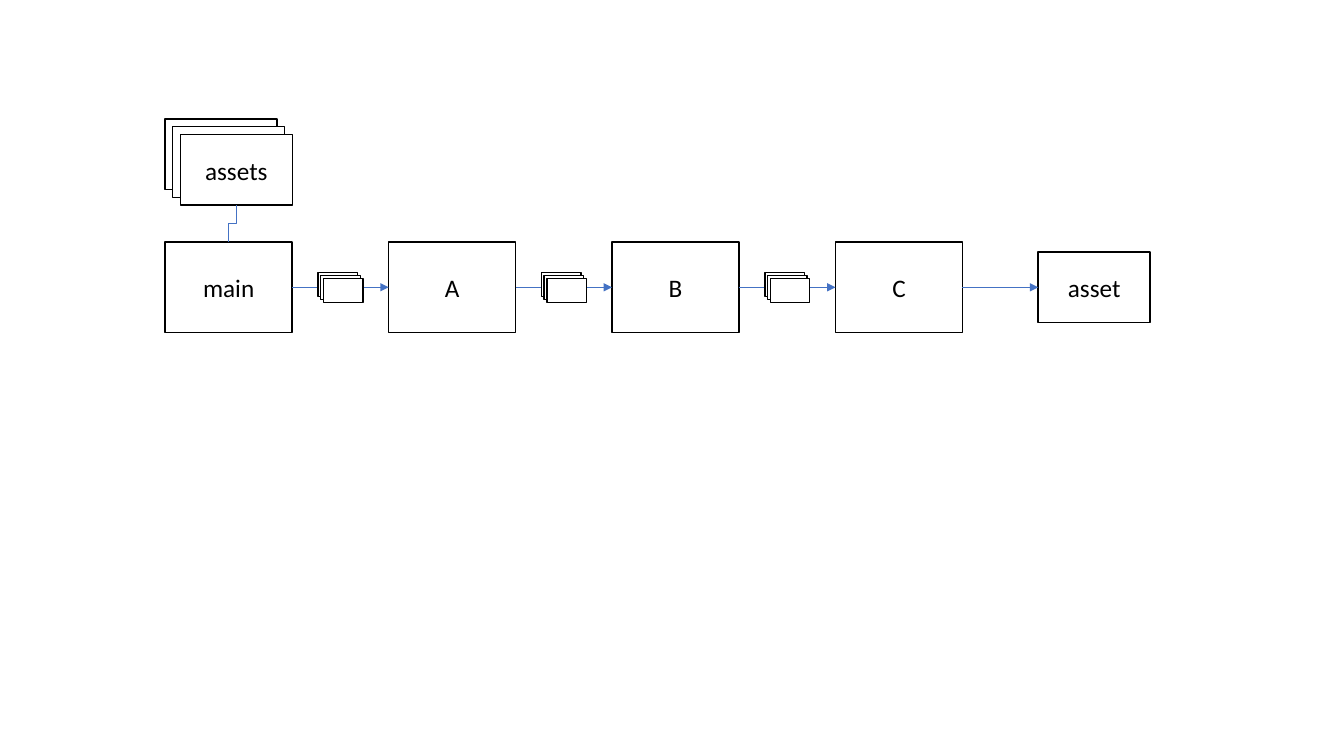
from dataclasses import dataclass

from pptx import Presentation
from pptx.dml.color import RGBColor
from pptx.enum.shapes import MSO_CONNECTOR, MSO_SHAPE
from pptx.enum.text import MSO_ANCHOR, PP_ALIGN
from pptx.oxml.ns import qn
from pptx.util import Pt
from lxml.etree import SubElement


@dataclass(frozen=True)
class Theme:
    paper: RGBColor = RGBColor(0xFF, 0xFF, 0xFF)
    ink: RGBColor = RGBColor(0, 0, 0)
    link: RGBColor = RGBColor(0x44, 0x72, 0xC4)
    font: str = "Calibri"
    text_size: int = 18
    outline: float = 1
    link_width: float = 0.5


THEME = Theme()
TOP, RIGHT, BOTTOM, LEFT = 0, 3, 2, 1  # connection sites of a rectangle


@dataclass(frozen=True)
class Box:
    left: float
    top: float
    width: float
    height: float

    def moved(self, across, down=0):
        return Box(self.left + across, self.top + down, self.width, self.height)

    def lengths(self):
        return [Pt(n) for n in (self.left, self.top, self.width, self.height)]


def add_rectangle(shapes, box, label=""):
    rectangle = shapes.add_shape(MSO_SHAPE.RECTANGLE, *box.lengths())
    rectangle.shadow.inherit = False
    rectangle.fill.solid()
    rectangle.fill.fore_color.rgb = THEME.paper
    rectangle.line.color.rgb = THEME.ink
    rectangle.line.width = Pt(THEME.outline)
    if label:
        frame = rectangle.text_frame
        frame.text = label
        frame.vertical_anchor = MSO_ANCHOR.MIDDLE
        para = frame.paragraphs[0]
        para.alignment = PP_ALIGN.CENTER
        span = para.runs[0]
        span.font.name = THEME.font
        span.font.size = Pt(THEME.text_size)
        span.font.color.rgb = THEME.ink
    return rectangle


def add_stack(slide, box, step_across, step_down, label=""):
    """Group three overlapping sheets, and return the front one."""
    group = slide.shapes.add_group_shape()
    for level in range(3):
        sheet = add_rectangle(group.shapes,
                              box.moved(level * step_across, level * step_down),
                              label if level == 2 else "")
    return sheet


def add_link(slide, kind, start, start_site, end, end_site):
    link = slide.shapes.add_connector(kind, 0, 0, 0, 0)
    link.begin_connect(start, start_site)
    link.end_connect(end, end_site)
    link.line.color.rgb = THEME.link
    link.line.width = Pt(THEME.link_width)
    SubElement(link._element.spPr, qn("a:effectLst"))
    return link


def add_arrow(slide, start, end):
    arrow = add_link(slide, MSO_CONNECTOR.STRAIGHT, start, RIGHT, end, LEFT)
    SubElement(arrow.line._get_or_add_ln(), qn("a:tailEnd"), type="triangle")


def add_vertical_elbow(slide, upper, lower):
    elbow = add_link(slide, MSO_CONNECTOR.ELBOW, upper, BOTTOM, lower, TOP)
    # A quarter turn makes the elbow leave and arrive vertically
    across, down = elbow.width, elbow.height
    elbow.left += (across - down) // 2
    elbow.top += (down - across) // 2
    elbow.width, elbow.height = down, across
    frame = elbow._element.spPr.find(qn("a:xfrm"))
    frame.attrib.pop("flipH", None)
    frame.set("rot", "5400000")


def add_pipeline(slide, box):
    """Chain of stages in a row, from the input assets to one asset."""
    pitch = 159.6
    first = Box(box.left, box.top + 87.8, 90.7, 64.8)
    sheet = Box(box.left, box.top, 80, 50.4)
    result = Box(box.left + box.width - sheet.width, first.top + 7.2,
                 sheet.width, sheet.height)
    packet = Box(first.left + 109.2, first.top + 21.8, 28.3, 17.4)

    # Stages
    stages = [add_rectangle(slide.shapes, first.moved(number * pitch), label)
              for number, label in enumerate(("main", "A", "B", "C"))]

    # Input and output
    assets = add_stack(slide, sheet, 5.4, 5.6, "assets")
    stages.append(add_rectangle(slide.shapes, result, "asset"))

    # Links, with packets lying on those between stages
    for start, end in zip(stages, stages[1:]):
        add_arrow(slide, start, end)
    for number in range(3):
        add_stack(slide, packet.moved(number * pitch), 1.9, 2.1)
    add_vertical_elbow(slide, assets, stages[0])


def main():
    deck = Presentation()
    deck.slide_width, deck.slide_height = Pt(960), Pt(540)
    page = deck.slides.add_slide(deck.slide_layouts[6])
    add_pipeline(page, Box(118, 85, 703.6, 152.6))
    deck.save("out.pptx")


if __name__ == "__main__":
    main()
